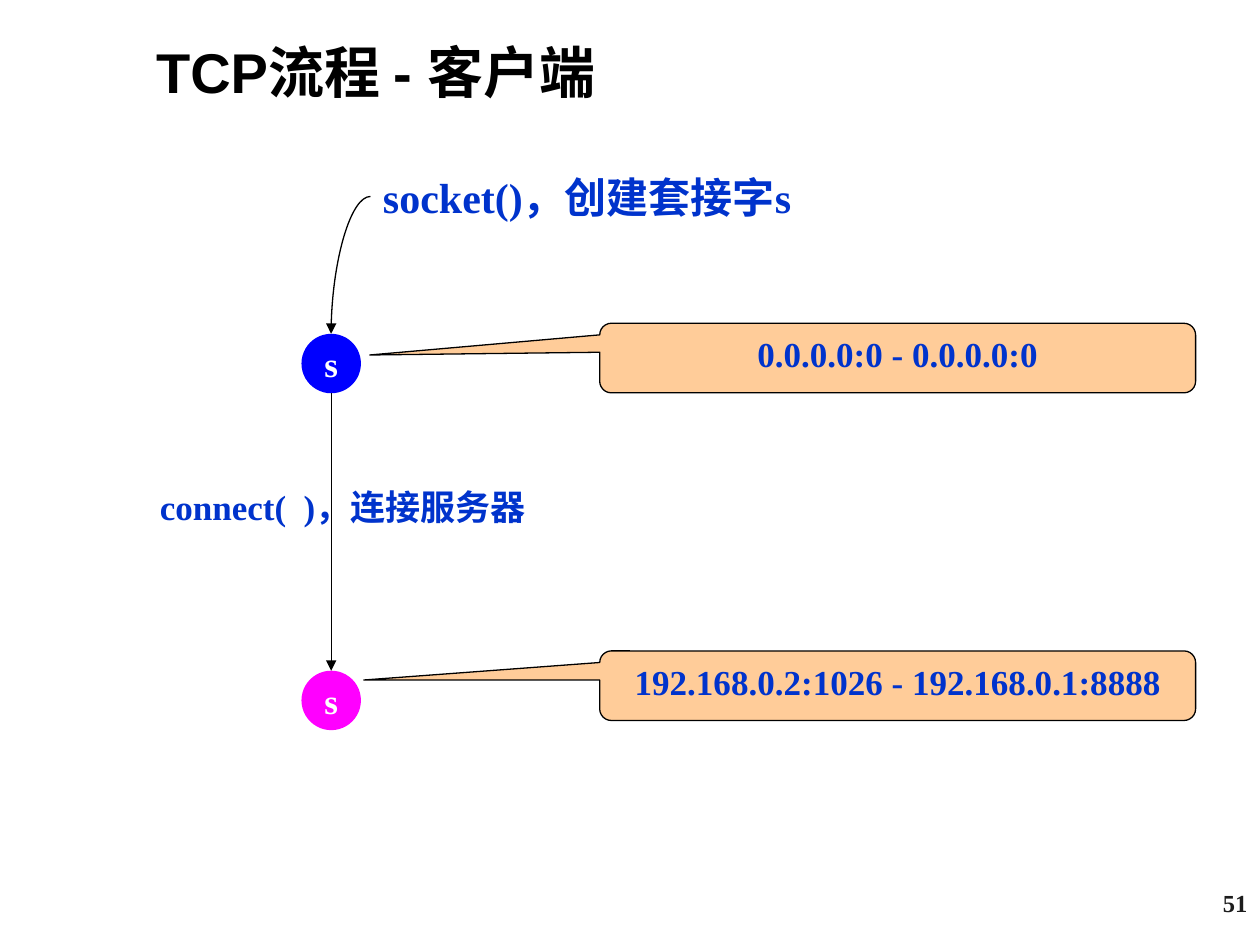
from lxml import etree
from pptx import Presentation
from pptx import util as u
from pptx.dml.color import RGBColor
from pptx.enum import shapes, text
from pptx.oxml.ns import qn

BLACK = RGBColor(0x00, 0x00, 0x00)
WHITE = RGBColor(0xFF, 0xFF, 0xFF)
GREY = RGBColor(0x1C, 0x1C, 0x1C)
INK = RGBColor(0x00, 0x33, 0xCC)
BLUE = RGBColor(0x00, 0x00, 0xFF)
PINK = RGBColor(0xFF, 0x00, 0xFF)
PEACH = RGBColor(0xFF, 0xCC, 0x99)

LEFT, MID, RIGHT = text.PP_ALIGN.LEFT, text.PP_ALIGN.CENTER, text.PP_ALIGN.RIGHT
TOP, CENTRE = text.MSO_ANCHOR.TOP, text.MSO_ANCHOR.MIDDLE

AXIS = 189.25  # x of the line that joins the two states
DOT = 34


class Canvas:
    font = "Times New Roman"
    edge = 0.75

    def __init__(self, slide):
        self.slide = slide

    def letter(self, shape, words, size, color, align=LEFT, anchor=TOP, wrap=True, font=None):
        """Put styled text in a shape."""
        frame = shape.text_frame
        frame.text = words
        frame.auto_size = text.MSO_AUTO_SIZE.NONE
        frame.word_wrap = wrap
        frame.vertical_anchor = anchor
        para = frame.paragraphs[0]
        para.alignment = align
        para.font.name = font or self.font
        para.font.size = u.Pt(size)
        para.font.bold = True
        para.font.color.rgb = color

    def title(self, words, *box):
        shape = self.slide.shapes.title
        shape.left, shape.top, shape.width, shape.height = map(u.Pt, box)
        self.letter(shape, words, 32, BLACK, anchor=CENTRE, font="Arial")

    def label(self, words, box, size, color=INK, align=LEFT):
        shape = self.slide.shapes.add_textbox(*map(u.Pt, box))
        self.letter(shape, words, size, color, align)

    def shape(self, kind, box, fill):
        shape = self.slide.shapes.add_shape(kind, *map(u.Pt, box))
        shape.shadow.inherit = False
        shape.fill.solid()
        shape.fill.fore_color.rgb = fill
        shape.line.fill.background()
        return shape

    def state(self, top, fill):
        box = (AXIS - DOT / 2, top, DOT, DOT)
        dot = self.shape(shapes.MSO_SHAPE.OVAL, box, fill)
        self.letter(dot, "s", 20, WHITE, MID, CENTRE, wrap=False)

    def callout(self, words, top, tip):
        """Draw a bubble; tip is the pointer's end as shares of its size."""
        kind = shapes.MSO_SHAPE.ROUNDED_RECTANGULAR_CALLOUT
        note = self.shape(kind, (342.75, top, 340.5, 39.75), PEACH)
        note.adjustments[0], note.adjustments[1] = tip
        note.line.color.rgb = BLACK
        note.line.width = u.Pt(self.edge)
        self.letter(note, words, 20, INK, MID)

    def arrow(self, start, end, bent=False):
        kind = shapes.MSO_CONNECTOR.CURVE if bent else shapes.MSO_CONNECTOR.STRAIGHT
        line = self.slide.shapes.add_connector(kind, *map(u.Pt, start + end))
        line.line.color.rgb = BLACK
        line.line.width = u.Pt(self.edge)
        props = line._element.spPr
        if bent:  # a quarter turn instead of an S curve
            props.find(qn("a:prstGeom")).set("prst", "curvedConnector2")
        etree.SubElement(props.find(qn("a:ln")), qn("a:tailEnd"), type="triangle")
        etree.SubElement(props, qn("a:effectLst"))


def main():
    deck = Presentation()
    deck.slide_width, deck.slide_height = u.Pt(720), u.Pt(540)
    page = Canvas(deck.slides.add_slide(deck.slide_layouts[5]))
    first, second = 190.75, 383.25

    page.label("51", (570, 504, 150, 36), 14, GREY, RIGHT)
    page.title("TCP流程 - 客户端", 82, 9.5, 538.5, 62.5)

    page.label("socket()，创建套接字s", (211.75, 94.25, 255.5, 36), 24)
    page.state(first, BLUE)
    page.arrow((211.75, 112.25), (AXIS, first), bent=True)
    page.callout("0.0.0.0:0 - 0.0.0.0:0", 184.75, (-0.886, -0.044))

    page.label("connect(  )，连接服务器", (84.25, 273.75, 226, 31.5), 20)
    page.state(second, PINK)
    page.arrow((AXIS, first + DOT), (AXIS, second))
    page.callout("192.168.0.2:1026 - 192.168.0.1:8888", 372, (-0.896, -0.082))

    deck.save("out.pptx")


if __name__ == "__main__":
    main()
